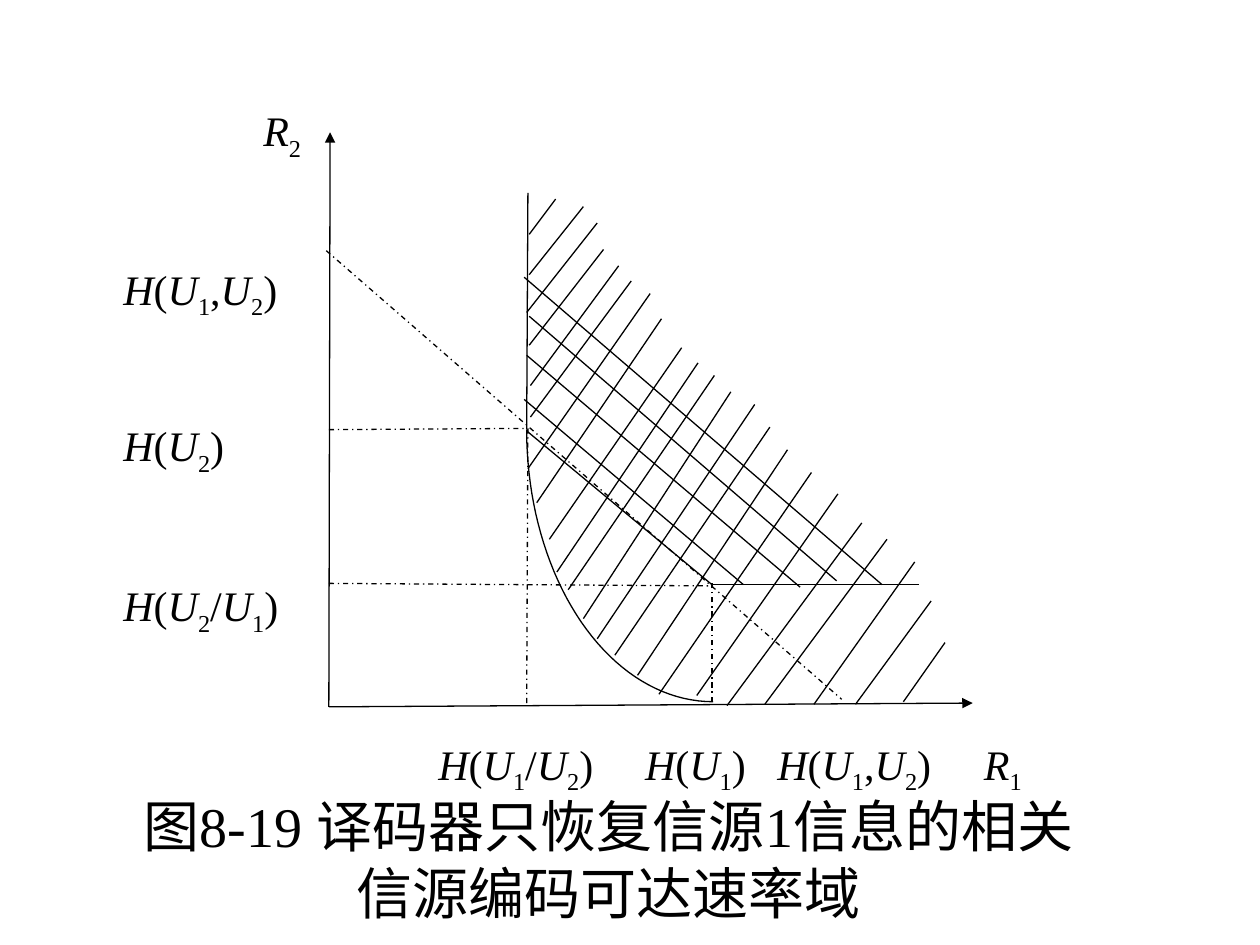
import math
from lxml import etree
from pptx import Presentation
from pptx.dml.color import RGBColor
from pptx.enum import dml, shapes, text
from pptx.oxml.ns import qn
from pptx.util import Inches, Pt

BLACK = RGBColor(0, 0, 0)
FONT = "Times New Roman"

# Rates in inches from the plot's origin, R1 to the right and R2 upward
U1_U2, U1 = 1.57, 3.05
U2_U1, U2 = 0.97, 2.2

OUTER = [
    (1.59, 3.75, 1.8, 4.03), (1.59, 3.43, 2.02, 3.97),
    (1.57, 3.13, 2.13, 3.84), (1.59, 2.87, 2.18, 3.63),
    (1.6, 2.55, 2.3, 3.5), (1.6, 2.3, 2.4, 3.38),
    (1.58, 1.89, 2.55, 3.28), (1.65, 1.62, 2.64, 3.08),
    (1.75, 1.33, 2.8, 2.85), (1.81, 1.07, 2.93, 2.73),
    (1.9, 0.93, 3.06, 2.63), (2.02, 0.7, 3.19, 2.5),
    (2.13, 0.54, 3.38, 2.4), (2.27, 0.41, 3.5, 2.22),
    (2.45, 0.25, 3.64, 2.04), (2.62, 0.1, 3.83, 1.86),
    (2.92, 0.09, 4.04, 1.69), (3.16, 0.01, 4.23, 1.46),
    (3.46, 0.02, 4.43, 1.33), (3.85, 0.02, 4.65, 1.15),
    (4.18, 0.02, 4.78, 0.84), (4.56, 0.04, 4.89, 0.51),
]
INNER = [
    (1.55, 2.44, 3.29, 0.97), (1.57, 2.79, 3.74, 0.95),
    (1.59, 3.1, 4.03, 1), (1.55, 3.41, 4.39, 0.97),
]
AXES = [(0, 0, 0.01, 4.56), (0, 0, 5.11, 0.03)]
GUIDES = [
    (-0.02, 3.62, 4.07, 0.06),
    (0, U2, 1.56, 2.21), (0, 0.98, 3.04, 0.96),
    (3.04, 0.04, 3.04, 0.98), (U1_U2, 0.03, 1.58, 2.23),
]
BORDER = [
    (U1_U2, U2, 1.58, 4.08), (U1_U2, 2.19, 3.04, U2_U1),
    (U1, U2_U1, 4.68, U2_U1),
]
LABELS = [
    ("R2", -0.52, 4.48), ("H(U1,U2)", -1.63, 3.22),
    ("H(U2)", -1.63, 1.98), ("H(U2/U1)", -1.63, 0.71),
    ("H(U1/U2)", 0.87, -0.55), ("H(U1)", 2.51, -0.55),
    ("H(U1,U2)", 3.56, -0.55), ("R1", 5.2, -0.55),
]


def add_line(slide, left, base, ends, dash=False, arrow=False):
    x1, y1, x2, y2 = ends
    line = slide.shapes.add_connector(
        shapes.MSO_CONNECTOR.STRAIGHT,
        Inches(left + x1), Inches(base - y1),
        Inches(left + x2), Inches(base - y2))
    line.line.color.rgb = BLACK
    line.line.width = Pt(0.75)
    if dash:
        line.line.dash_style = dml.MSO_LINE.DASH_DOT
    if arrow:
        etree.SubElement(line.line._get_or_add_ln(), qn("a:tailEnd"),
                         type="triangle")
    etree.SubElement(line._element.spPr, qn("a:effectLst"))


def add_curve(slide, left, base):
    """Draw the quarter ellipse from the R1 axis up to H(U2)."""
    foot, steps = 0.04, 40
    points = []
    for i in range(steps + 1):
        turn = math.pi / 2 * i / steps
        x = left + U1 - (U1 - U1_U2) * math.sin(turn)
        y = base - U2 + (U2 - foot) * math.cos(turn)
        points.append((Inches(x), Inches(y)))
    build = slide.shapes.build_freeform(*points[0])
    build.add_line_segments(points[1:], close=False)
    curve = build.convert_to_shape()
    curve.shadow.inherit = False
    curve.fill.background()
    curve.line.color.rgb = BLACK
    curve.line.width = Pt(0.75)


def add_frame(slide, left, top, width, height):
    frame = slide.shapes.add_textbox(
        Inches(left), Inches(top), Inches(width), Inches(height)).text_frame
    frame.margin_left = frame.margin_right = 0
    frame.margin_top = frame.margin_bottom = 0
    return frame


def add_run(para, words, size):
    run = para.add_run()
    run.text = words
    run.font.name = FONT
    run.font.size = Pt(size)
    run.font.color.rgb = BLACK
    return run


def add_label(slide, left, base, name):
    """Set letters in italics and digits as subscripts, on a baseline."""
    frame = add_frame(slide, left, base - 0.3, 0.18 * len(name), 0.4)
    frame.word_wrap = False
    for char in name:
        font = add_run(frame.paragraphs[0], char, 24).font
        font.italic = char.isalpha()
        if char.isdigit():
            font._element.set("baseline", "-25000")


def add_plot(slide, left, base):
    for ends in AXES:
        add_line(slide, left, base, ends, arrow=True)
    for ends in GUIDES:
        add_line(slide, left, base, ends, dash=True)
    for ends in BORDER + OUTER + INNER:
        add_line(slide, left, base, ends)
    add_curve(slide, left, base)
    for name, x, y in LABELS:
        add_label(slide, left + x, base - y, name)


def add_caption(slide, left, top, width, height):
    frame = add_frame(slide, left, top, width, height)
    frame.word_wrap = True
    para = frame.paragraphs[0]
    para.alignment = text.PP_ALIGN.CENTER
    add_run(para, "图8-19 译码器只恢复信源1信息的相关信源编码可达速率域", 32)


def main():
    deck = Presentation()
    deck.slide_width, deck.slide_height = Inches(10), Inches(7.5)
    slide = deck.slides.add_slide(deck.slide_layouts[6])
    add_plot(slide, 2.61, 5.61)
    add_caption(slide, 0.98, 6.28, 7.7, 1.1)
    deck.save("out.pptx")


if __name__ == "__main__":
    main()
